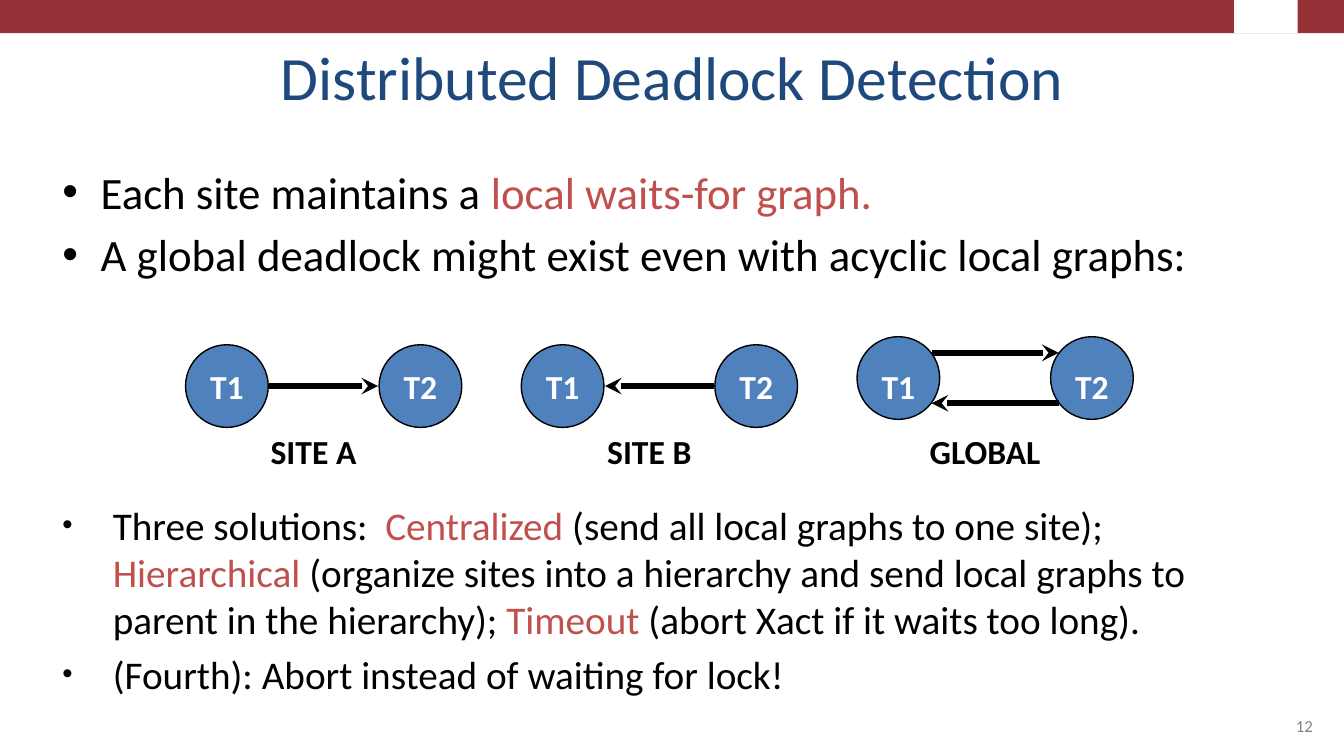
from lxml.etree import SubElement
from pptx import Presentation
from pptx.dml.color import RGBColor
from pptx.enum.shapes import MSO_CONNECTOR, MSO_SHAPE
from pptx.enum.text import MSO_ANCHOR, PP_ALIGN
from pptx.oxml.ns import qn
from pptx.util import Inches, Pt

BLACK, WHITE, RED = "000000", "FFFFFF", "C0504D"


def color(code):
    return RGBColor.from_string(code)


def style(font, size, code, bold=False):
    font.name = "Calibri"
    font.size = Pt(size)
    font.bold = bold
    font.color.rgb = color(code)


def place(shape, x, y, w, h):
    shape.left, shape.top = Inches(x), Inches(y)
    shape.width, shape.height = Inches(w), Inches(h)


def add_text(slide, text, box, size, code, align, bold=False):
    label = slide.shapes.add_textbox(*map(Inches, box))
    frame = label.text_frame
    frame.word_wrap = True
    frame.text = text
    para = frame.paragraphs[0]
    para.alignment = align
    style(para.runs[0].font, size, code, bold)
    return frame


def add_form(slide, kind, box, fill, line=None):
    form = slide.shapes.add_shape(kind, *map(Inches, box))
    form.shadow.inherit = False
    form.fill.solid()
    form.fill.fore_color.rgb = color(fill)
    if line:
        form.line.color.rgb = color(line)
        form.line.width = Pt(1)
    else:
        form.line.fill.background()
    return form


def add_band(slide, x, y, w, h):
    add_form(slide, MSO_SHAPE.RECTANGLE, (x, y, w, h), "963237")
    add_form(slide, MSO_SHAPE.RECTANGLE, (x + w - 1.09, y, 0.63, h), WHITE)


def add_title(slide, text, x, y, w, h):
    title = slide.shapes.title
    place(title, x, y, w, h)
    frame = title.text_frame
    frame.text = text
    frame.vertical_anchor = MSO_ANCHOR.BOTTOM
    para = frame.paragraphs[0]
    para.alignment = PP_ALIGN.CENTER
    style(para.runs[0].font, 44, "1F497D")


def add_list(slide, items, box, size, indent, scale):
    frame = slide.shapes.add_textbox(*map(Inches, box)).text_frame
    frame.word_wrap = True
    for num, item in enumerate(items):
        para = frame.add_paragraph() if num else frame.paragraphs[0]
        props = para._p.get_or_add_pPr()
        props.set("marL", str(Inches(indent)))
        props.set("indent", str(-Inches(indent)))
        tint = SubElement(props, qn("a:buClr"))
        SubElement(tint, qn("a:srgbClr"), val=BLACK)
        SubElement(props, qn("a:buSzPct"), val=str(scale * 1000))
        SubElement(props, qn("a:buFont"), typeface="Arial")
        SubElement(props, qn("a:buChar"), char="•")
        if num:
            para.space_before = Pt(size * 0.2)
        for text, code in item:
            run = para.add_run()
            run.text = text
            style(run.font, size, code)


def add_node(slide, name, x, y, drop):
    node = add_form(slide, MSO_SHAPE.OVAL, (x, y, 0.82, 0.82), "4F81BD", BLACK)
    frame = node.text_frame
    frame.word_wrap = False
    frame.margin_left = frame.margin_right = frame.margin_bottom = 0
    frame.margin_top = Inches(2 * drop)
    frame.vertical_anchor = MSO_ANCHOR.MIDDLE
    frame.text = name
    para = frame.paragraphs[0]
    para.alignment = PP_ALIGN.CENTER
    style(para.runs[0].font, 24, WHITE, True)


def add_arrow(slide, x, y, w, end):
    arrow = slide.shapes.add_connector(
        MSO_CONNECTOR.STRAIGHT, Inches(x), Inches(y), Inches(x + w), Inches(y))
    arrow.line.color.rgb = color(BLACK)
    arrow.line.width = Pt(4)
    SubElement(arrow.line._get_or_add_ln(), qn(f"a:{end}End"), type="stealth")
    SubElement(arrow._element.spPr, qn("a:effectLst"))


def add_graph(slide, name, x, y, lift, inset, ends):
    for num, node in enumerate(("T1", "T2")):
        add_node(slide, node, x + num * 1.92, y - lift, lift)
    for end, shift in ends:
        add_arrow(slide, x + inset, y + 0.41 + shift, 2.74 - 2 * inset, end)
    add_text(slide, name, (x + 0.47, y + 0.81, 1.6, 0.51), 24, BLACK,
             PP_ALIGN.CENTER, True)


def main():
    deck = Presentation()
    deck.slide_width, deck.slide_height = Inches(13.33), Inches(7.5)
    slide = deck.slides.add_slide(deck.slide_layouts[5])
    add_band(slide, 0, 0, 13.33, 0.33)
    add_title(slide, "Distributed Deadlock Detection", 0.67, 0.3, 12, 0.87)
    add_list(slide, [
        [("Each site maintains a ", BLACK), ("local waits-for graph.", RED)],
        [("A global deadlock might exist even with acyclic local graphs:",
          BLACK)],
    ], (0.52, 1.58, 12.28, 1.58), 32, 0.38, 100)
    graphs = [
        ("SITE A", 0, 0.83, [("tail", 0)]),
        ("SITE B", 0, 0.83, [("head", 0)]),
        ("GLOBAL", 0.08, 0.74, [("tail", -0.33), ("head", 0.17)]),
    ]
    for num, (name, lift, inset, ends) in enumerate(graphs):
        add_graph(slide, name, 1.84 + num * 3.33, 3.42, lift, inset, ends)
    add_list(slide, [
        [("Three solutions:  ", BLACK), ("Centralized", RED),
         (" (send all local graphs to one site); ", BLACK),
         ("Hierarchical ", RED),
         ("(organize sites into a hierarchy and send local graphs to parent "
          "in the hierarchy); ", BLACK),
         ("Timeout ", RED), ("(abort Xact if it waits too long).", BLACK)],
        [("(Fourth): Abort instead of waiting for lock!", BLACK)],
    ], (0.52, 4.92, 12.28, 1.83), 28, 0.5, 75)
    page = add_text(slide, "12", (9.56, 6.83, 3.56, 0.52), 12, "808080",
                    PP_ALIGN.RIGHT)
    page.vertical_anchor = MSO_ANCHOR.BOTTOM
    deck.save("out.pptx")


if __name__ == "__main__":
    main()
